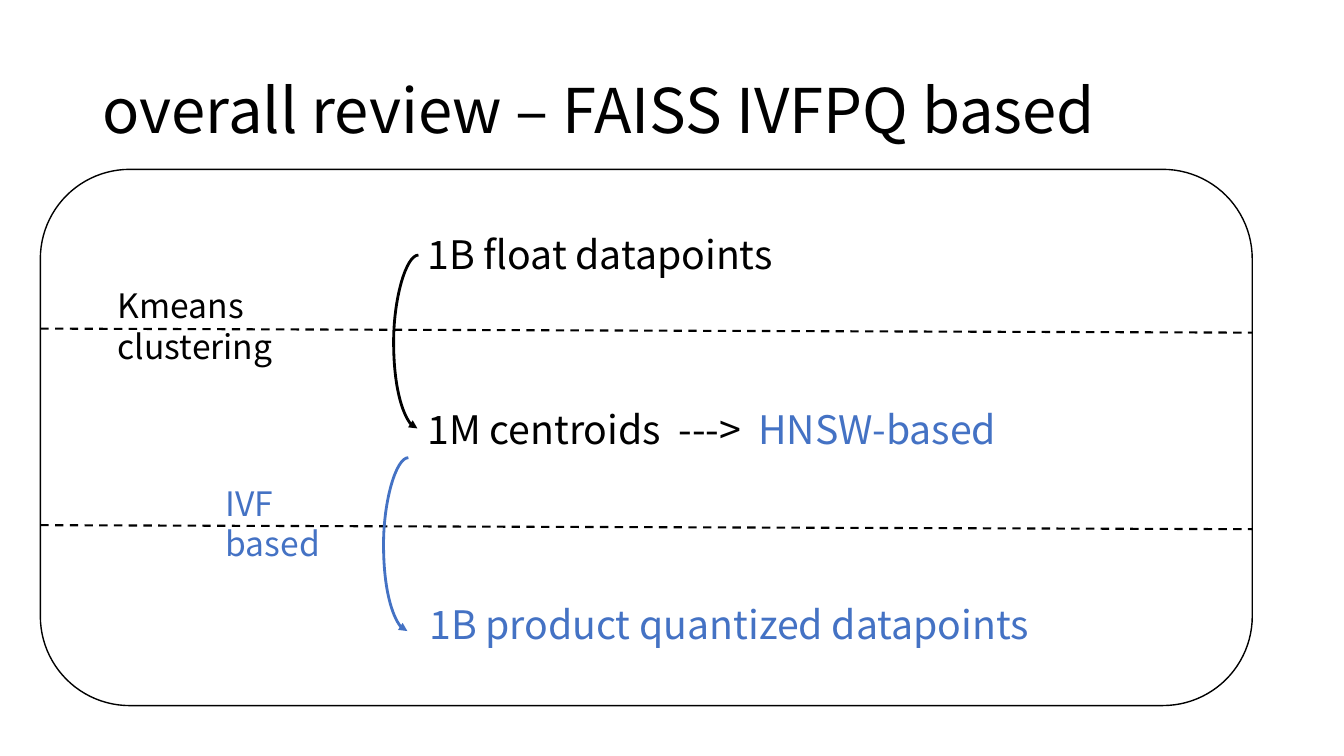
from lxml.etree import SubElement
from pptx import Presentation
from pptx.dml.color import RGBColor
from pptx.enum.dml import MSO_LINE
from pptx.enum.shapes import MSO_CONNECTOR, MSO_SHAPE
from pptx.enum.text import MSO_ANCHOR, MSO_AUTO_SIZE, PP_ALIGN
from pptx.oxml.ns import qn
from pptx.util import Pt

EMU_PER_PX = 9144
FONT = "Noto Sans CJK SC"
COLORS = {"ink": "000000", "accent": "4472C4"}


def px(length):
    return length * EMU_PER_PX


def rgb(name):
    return RGBColor.from_string(COLORS[name])


class SlideBuilder:
    """Draws styled elements on one title-only slide, measured at 100 px to the inch."""

    def __init__(self, presentation):
        self.slide = presentation.slides.add_slide(presentation.slide_layouts[5])
        self.shapes = self.slide.shapes

    def add_runs(self, paragraph, runs, size):
        paragraph.alignment = PP_ALIGN.LEFT
        for text, color in runs:
            run = paragraph.add_run()
            run.text = text
            run.font.name = FONT
            run.font.size = Pt(size)
            run.font.color.rgb = rgb(color)

    def title(self, text, left, top, width, height):
        title = self.shapes.title
        title.left, title.top = px(left), px(top)
        title.width, title.height = px(width), px(height)
        frame = title.text_frame
        frame.word_wrap = True
        frame.auto_size = MSO_AUTO_SIZE.NONE
        frame.vertical_anchor = MSO_ANCHOR.MIDDLE
        paragraph = frame.paragraphs[0]
        paragraph.line_spacing = 0.9
        self.add_runs(paragraph, [(text, "ink")], 44)

    def text(self, runs, size, left, top, width, height):
        box = self.shapes.add_textbox(px(left), px(top), px(width), px(height))
        frame = box.text_frame
        frame.word_wrap = True
        frame.auto_size = MSO_AUTO_SIZE.SHAPE_TO_FIT_TEXT
        self.add_runs(frame.paragraphs[0], runs, size)

    def panel(self, left, top, width, height):
        shape = self.shapes.add_shape(
            MSO_SHAPE.ROUNDED_RECTANGLE, px(left), px(top), px(width), px(height))
        shape.shadow.inherit = False
        shape.fill.background()
        shape.line.color.rgb = rgb("ink")
        shape.line.width = Pt(1)

    def connector(self, kind, start, end, color, width):
        connector = self.shapes.add_connector(kind, *map(px, start + end))
        connector.line.color.rgb = rgb(color)
        connector.line.width = Pt(width)
        SubElement(connector._element.spPr, qn("a:effectLst"))
        return connector

    def divider(self, left, top, right, bottom):
        line = self.connector(
            MSO_CONNECTOR.STRAIGHT, (left, top), (right, bottom), "ink", 1.5)
        line.line.dash_style = MSO_LINE.DASH

    def curved_arrow(self, left, top, height, bulge, color):
        arrow = self.connector(
            MSO_CONNECTOR.CURVE, (left, top), (left + 1, top + height), color, 2)
        properties = arrow._element.spPr
        transform = properties.find(qn("a:xfrm"))
        transform.set("rot", "10800000")
        transform.set("flipV", "1")
        adjustments = properties.find(qn("a:prstGeom")).get_or_add_avLst()
        SubElement(adjustments, qn("a:gd"), name="adj1", fmla=f"val {bulge * 100000}")
        SubElement(properties.find(qn("a:ln")), qn("a:tailEnd"), type="triangle")


def main():
    presentation = Presentation()
    presentation.slide_width, presentation.slide_height = px(1333), px(750)
    builder = SlideBuilder(presentation)
    builder.title("overall review – FAISS IVFPQ based", 92, 40, 1150, 145)
    builder.panel(40, 168, 1202, 532)
    for top in (326, 521):
        builder.divider(40, top, 1242, top + 4)

    stages = [
        ([("1B float datapoints", "ink")], 414, 224, 422),
        ([("1M centroids  --->  ", "ink"), ("HNSW-based", "accent")], 414, 397, 620),
        ([("1B product quantized datapoints", "accent")], 416, 591, 646),
    ]
    for runs, left, top, width in stages:
        builder.text(runs, 28, left, top, width, 57)

    steps = [
        ("Kmeans clustering", "ink", 107, 278, 283, 414, 253),
        ("IVF based", "accent", 214, 474, 161, 404, 454),
    ]
    for label, color, left, top, width, arrow_left, arrow_top in steps:
        builder.curved_arrow(arrow_left, arrow_top, 172, 25, color)
        builder.text([(label, color)], 24, left, top, width, 50)

    presentation.save("out.pptx")


if __name__ == "__main__":
    main()
